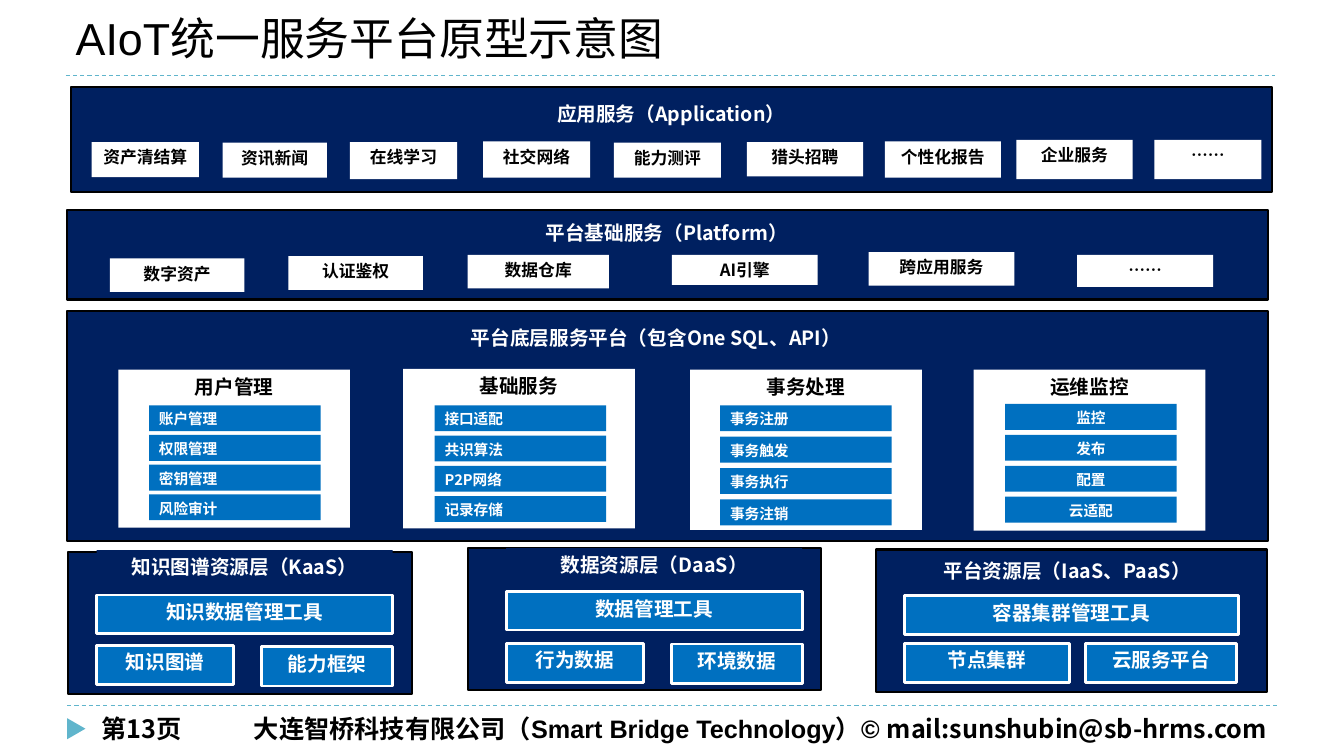
import pptx
import pptx.util
import pptx.dml.color
import pptx.enum.dml
import pptx.enum.shapes
import pptx.enum.text
import pptx.oxml.ns
import lxml.etree

Pt = pptx.util.Pt
RGBColor = pptx.dml.color.RGBColor
PP_ALIGN = pptx.enum.text.PP_ALIGN
MSO_SHAPE = pptx.enum.shapes.MSO_SHAPE
qn = pptx.oxml.ns.qn

NAVY = RGBColor(0x00, 0x20, 0x60)
BLUE = RGBColor(0x00, 0x70, 0xC0)
TEAL = RGBColor(0x60, 0xB5, 0xCC)
BLACK = RGBColor(0x00, 0x00, 0x00)
WHITE = RGBColor(0xFF, 0xFF, 0xFF)

SANS = "Noto Sans CJK SC"
TITLE = {"size": Pt(32), "name": "Arial", "bold": False}
FOOTER = {"size": Pt(18), "name": "Arial", "bold": True}
CONTACT = {"size": Pt(18), "name": SANS, "bold": True}
HEADING = {"size": Pt(14), "name": "Noto Sans CJK JP", "bold": True}
CARD = {"size": Pt(14), "name": SANS, "bold": True}
TILE = {"size": Pt(12), "name": SANS, "bold": True}
ITEM = {"size": Pt(10.5), "name": "Noto Sans CJK JP", "bold": True}


def write(paragraph, text, color, style):
    run = paragraph.add_run()
    run.text = text
    for attribute, value in style.items():
        setattr(run.font, attribute, value)
    run.font.color.rgb = color
    east_asian = style["name"] if style["name"] != "Arial" else SANS
    latin = run.font._element.find(qn("a:latin"))
    ea = lxml.etree.Element(qn("a:ea"), typeface=east_asian)
    latin.addnext(ea)


def block(box, fill, text="", color=WHITE, style=HEADING, line=None, weight=2, align=PP_ALIGN.CENTER):
    rect = slide.shapes.add_shape(MSO_SHAPE.RECTANGLE, *[Pt(v) for v in box])
    rect.shadow.inherit = False
    rect.fill.solid()
    rect.fill.fore_color.rgb = fill
    if line is None:
        rect.line.fill.background()
    else:
        rect.line.color.rgb = line
        rect.line.width = Pt(weight)
    if text:
        rect.text_frame.word_wrap = True
        rect.text_frame.vertical_anchor = pptx.enum.text.MSO_ANCHOR.TOP
        rect.text_frame.paragraphs[0].alignment = align
        write(rect.text_frame.paragraphs[0], text, color, style)


deck = pptx.Presentation()
deck.slide_width, deck.slide_height = Pt(960), Pt(540)
slide = deck.slides.add_slide(deck.slide_layouts[6])

for left, top in [(48, 504), (47, 54)]:
    rule = slide.shapes.add_connector(
        pptx.enum.shapes.MSO_CONNECTOR.STRAIGHT, Pt(left), Pt(top), Pt(left + 864), Pt(top))
    rule.line.color.rgb = TEAL
    rule.line.width = Pt(0.75)
    rule.line.dash_style = pptx.enum.dml.MSO_LINE.DASH
    lxml.etree.SubElement(rule._element.spPr, qn("a:effectLst"))

page_marker = slide.shapes.add_shape(MSO_SHAPE.ISOSCELES_TRIANGLE, Pt(47), Pt(514), Pt(15), Pt(13))
page_marker.rotation = 90
page_marker.shadow.inherit = False
page_marker.fill.solid()
page_marker.fill.fore_color.rgb = TEAL
page_marker.line.fill.background()

captions = [
    ((47, 6, 691, 42), PP_ALIGN.LEFT, [("AIoT统一服务平台原型示意图", TITLE)]),
    ((65.5, 506, 90, 29), PP_ALIGN.LEFT, [("第13页", CONTACT)]),
    ((150, 505.5, 762, 29), PP_ALIGN.RIGHT,
     [("大连智桥科技有限公司（Smart Bridge Technology）© ", FOOTER), ("mail:sunshubin@sb-hrms.com", CONTACT)]),
]
for box, align, parts in captions:
    caption = slide.shapes.add_textbox(*[Pt(v) for v in box]).text_frame
    caption.word_wrap = True
    caption.vertical_anchor = pptx.enum.text.MSO_ANCHOR.MIDDLE
    caption.paragraphs[0].alignment = align
    for text, style in parts:
        write(caption.paragraphs[0], text, BLACK, style)

tiers = [
    ("应用服务（Application）", (50.5, 62, 858, 75.5), (103, 69, 753, 26), [
        ("资产清结算", (65.5, 101.5, 76.5, 25)),
        ("资讯新闻", (159, 102, 74.5, 25)),
        ("在线学习", (250, 101.5, 76.5, 26.5)),
        ("社交网络", (345, 101, 76.5, 26)),
        ("能力测评", (438.5, 102, 76.5, 25)),
        ("猎头招聘", (533.5, 101.5, 83, 24.5)),
        ("个性化报告", (632, 101, 83, 26)),
        ("企业服务", (726, 100, 83, 28)),
        ("……", (824.5, 100, 76.5, 28)),
    ]),
    ("平台基础服务（Platform）", (48, 150, 858, 64), (100, 154, 753, 29.5), [
        ("数字资产", (78.5, 184.5, 96, 24)),
        ("认证鉴权", (206, 183, 96, 24)),
        ("数据仓库", (334, 182, 101, 24)),
        ("AI引擎", (480, 182, 104, 21.5)),
        ("跨应用服务", (620.5, 180, 104, 24)),
        ("……", (769.5, 182, 97, 23)),
    ]),
    ("平台底层服务平台（包含One SQL、API）", (48, 222.5, 858, 164), (92, 229.5, 753, 30), []),
]
for heading, frame, heading_box, services in tiers:
    block(frame, NAVY, line=BLACK, weight=1.5)
    block(heading_box, NAVY, heading)
    for service, box in services:
        block(box, WHITE, service, BLACK, TILE)

modules_by_card = [
    ("用户管理", (84.5, 264, 165.5, 113), 106.5, 289.5, 21.2, PP_ALIGN.JUSTIFY,
     ["账户管理", "权限管理", "密钥管理", "风险审计"]),
    ("基础服务", (288, 263.5, 165.5, 114), 310.5, 289.5, 21.6, PP_ALIGN.JUSTIFY,
     ["接口适配", "共识算法", "P2P网络", "记录存储"]),
    ("事务处理", (493, 264, 165.5, 114.5), 514.5, 289.5, 22.4, PP_ALIGN.JUSTIFY,
     ["事务注册", "事务触发", "事务执行", "事务注销"]),
    ("运维监控", (695.5, 264, 165.5, 115), 718, 288.5, 22.1, PP_ALIGN.CENTER,
     ["监控", "发布", "配置", "云适配"]),
]
for card, card_box, left, top, pitch, align, entries in modules_by_card:
    block(card_box, WHITE, card, BLACK, CARD)
    for row, entry in enumerate(entries):
        block((left, top + row * pitch, 122.5, 18.5), BLUE, entry, style=ITEM, align=align)

resource_layers = [
    ((48.5, 394, 246, 101.5), "知识图谱资源层（KaaS）", (69, 393, 211.5, 30), [
        ("知识数据管理工具", (69, 425, 211.5, 27.5)),
        ("知识图谱", (69, 461, 98, 28)),
        ("能力框架", (187, 462, 93.5, 28))]),
    ((334, 391.5, 252.5, 101.5), "数据资源层（DaaS）", (361.5, 391.5, 211.5, 30), [
        ("数据管理工具", (361.5, 422.5, 211.5, 27.5)),
        ("行为数据", (361.5, 459.5, 98, 28)),
        ("环境数据", (479.5, 460, 93.5, 28))]),
    ((625.5, 392.5, 279.5, 101.5), "平台资源层（IaaS、PaaS）", (643, 396, 238.5, 30), [
        ("容器集群管理工具", (646, 425.5, 238.5, 27.5)),
        ("节点集群", (646, 459.5, 118, 28)),
        ("云服务平台", (775.5, 459.5, 108, 28))]),
]
for frame, heading, heading_box, tools in resource_layers:
    block(frame, NAVY, line=BLACK, weight=1.5)
    block(heading_box, NAVY, heading)
    for tool, box in tools:
        block(box, BLUE, tool, style=CARD, line=WHITE)

deck.save("out.pptx")
